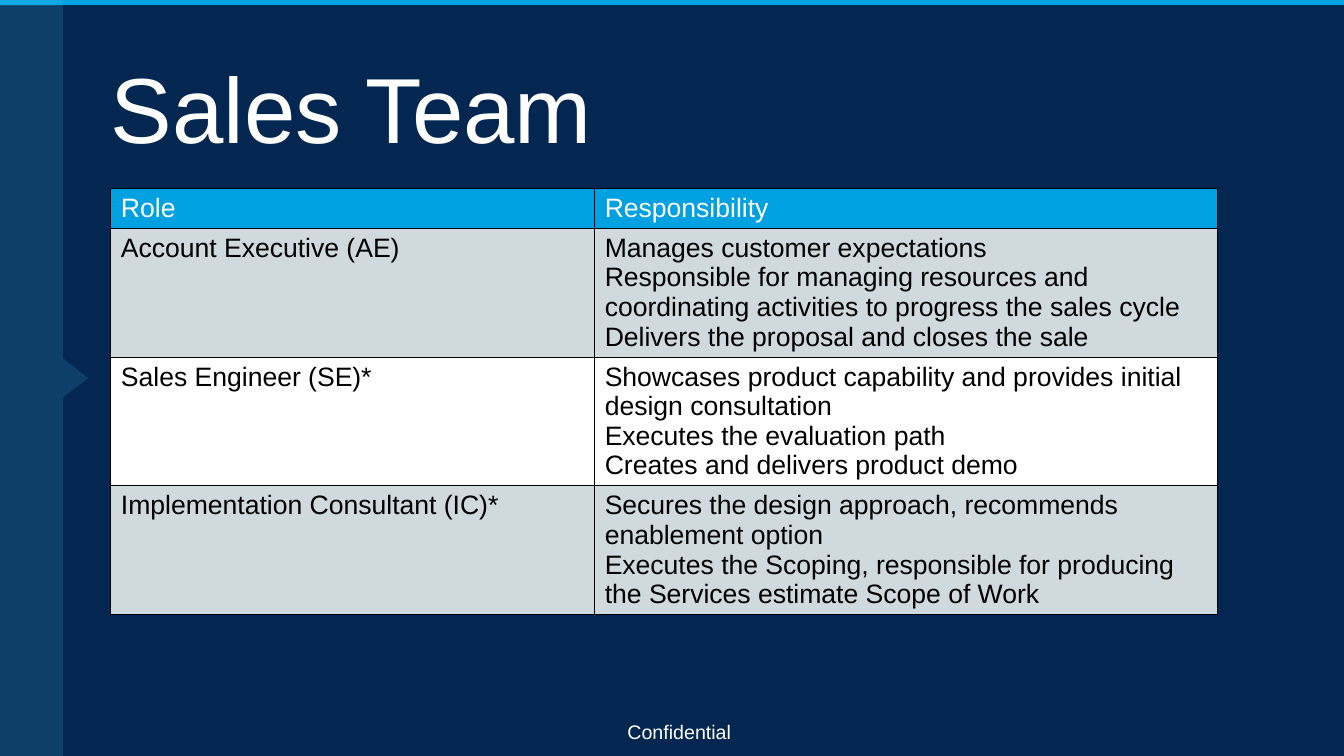
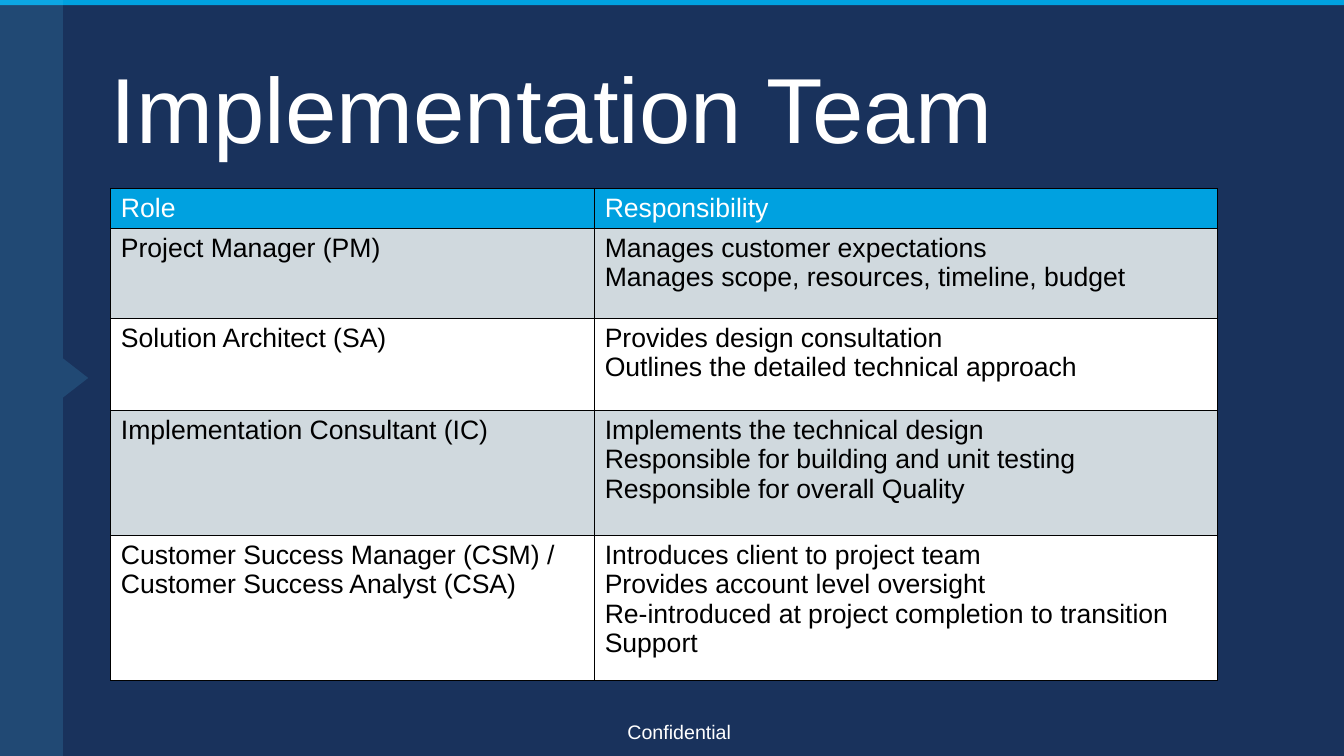
import pptx
import pptx.dml.color
import pptx.enum.shapes
import pptx.enum.text
import pptx.oxml
import pptx.oxml.ns
import pptx.util
from lxml import etree

Pt = pptx.util.Pt
RGBColor = pptx.dml.color.RGBColor

NAVY = RGBColor(0x03, 0x27, 0x50)
INDIGO = RGBColor(0x19, 0x32, 0x5C)
BLUE = RGBColor(0x00, 0xA1, 0xE0)
SKY = RGBColor(0x53, 0xCE, 0xFF)
GREY = RGBColor(0xD0, 0xD9, 0xDE)
WHITE = RGBColor(0xFF, 0xFF, 0xFF)
BLACK = RGBColor(0x00, 0x00, 0x00)

FONT = "Arial"
SLIDE_WIDTH, SLIDE_HEIGHT = 960, 540
LEFT = 79.2
TABLE_TOP = 134.6
COLUMN_WIDTHS = (345.6, 445)
HEADER_HEIGHT = 28.5
HEADINGS = ("Role", ["Responsibility"])
BAND_WIDTH, ARROW_TIP, ARROW_HALF = 44.8, 63.3, 13.5

SALES_ROWS = [
    (92, "Account Executive (AE)", [
        "Manages customer expectations",
        "Responsible for managing resources and coordinating activities to progress the sales cycle",
        "Delivers the proposal and closes the sale"]),
    (92, "Sales Engineer (SE)*", [
        "Showcases product capability and provides initial design consultation",
        "Executes the evaluation path",
        "Creates and delivers product demo"]),
    (92, "Implementation Consultant (IC)*", [
        "Secures the design approach, recommends enablement option",
        "Executes the Scoping, responsible for producing the Services estimate Scope of Work"]),
]
IMPLEMENTATION_ROWS = [
    (64.2, "Project Manager (PM)", [
        "Manages customer expectations",
        "Manages scope, resources, timeline, budget"]),
    (65.6, "Solution Architect (SA)", [
        "Provides design consultation",
        "Outlines the detailed technical approach"]),
    (89.4, "Implementation Consultant (IC)", [
        "Implements the technical design",
        "Responsible for building and unit testing",
        "Responsible for overall Quality"]),
    (103.8, "Customer Success Manager (CSM) / Customer Success Analyst (CSA)", [
        "Introduces client to project team",
        "Provides account level oversight",
        "Re-introduced at project completion to transition Support"]),
]


def format_text(text_frame, size, color, alignment=pptx.enum.text.PP_ALIGN.LEFT):
    """Give every run one font, size and colour, and align its paragraph."""
    for paragraph in text_frame.paragraphs:
        paragraph.alignment = alignment
        for run in paragraph.runs:
            run.font.name = FONT
            run.font.size = Pt(size)
            run.font.color.rgb = color


def set_insets(text_frame, inset):
    """Set the same inset on all four sides of a text frame."""
    text_frame.margin_left = text_frame.margin_right = Pt(inset)
    text_frame.margin_top = text_frame.margin_bottom = Pt(inset)


def fill_plain(shape, color):
    """Fill a shape with one colour, without outline or shadow."""
    shape.shadow.inherit = False
    shape.fill.solid()
    shape.fill.fore_color.rgb = color
    shape.line.fill.background()


def set_opacity(shape, percent):
    """Make the solid fill of a shape partly transparent."""
    color = shape.fill._xPr.find(".//" + pptx.oxml.ns.qn("a:srgbClr"))
    etree.SubElement(color, pptx.oxml.ns.qn("a:alpha"), val=str(percent * 1000))


def add_bands(slide):
    """Draw the top stripe and the pointed side band."""
    stripe = slide.shapes.add_shape(
        pptx.enum.shapes.MSO_SHAPE.RECTANGLE, 0, 0, Pt(SLIDE_WIDTH), Pt(3.6))
    fill_plain(stripe, BLUE)
    middle = SLIDE_HEIGHT / 2
    builder = slide.shapes.build_freeform(0, 0, scale=Pt(1))
    builder.add_line_segments([
        (BAND_WIDTH, 0), (BAND_WIDTH, middle - ARROW_HALF), (ARROW_TIP, middle),
        (BAND_WIDTH, middle + ARROW_HALF), (BAND_WIDTH, SLIDE_HEIGHT),
        (0, SLIDE_HEIGHT)], close=True)
    band = builder.convert_to_shape()
    fill_plain(band, SKY)
    set_opacity(band, 15)


def set_title(slide, text):
    """Place and format the title placeholder."""
    title = slide.shapes.title
    title.left, title.top = Pt(LEFT), Pt(8.6)
    title.width, title.height = Pt(746), Pt(107.3)
    frame = title.text_frame
    frame.text = text
    frame.word_wrap = True
    frame.auto_size = pptx.enum.text.MSO_AUTO_SIZE.NONE
    frame.vertical_anchor = pptx.enum.text.MSO_ANCHOR.BOTTOM
    set_insets(frame, 0)
    format_text(frame, 66, WHITE)


def add_footer(slide):
    """Add the centred confidentiality line."""
    footer = slide.shapes.add_textbox(Pt(192.2), Pt(507), Pt(586), Pt(33))
    frame = footer.text_frame
    frame.word_wrap = True
    frame.text = "Confidential"
    set_insets(frame, 7.2)
    format_text(frame, 14, WHITE, pptx.enum.text.PP_ALIGN.CENTER)


def set_borders(cell):
    """Draw a thin black line on each side of a cell."""
    properties = cell._tc.get_or_add_tcPr()
    for side in ("lnL", "lnR", "lnT", "lnB"):
        line = etree.SubElement(
            properties, pptx.oxml.ns.qn("a:" + side), w=str(Pt(0.75)))
        fill = etree.SubElement(line, pptx.oxml.ns.qn("a:solidFill"))
        etree.SubElement(fill, pptx.oxml.ns.qn("a:srgbClr"), val=str(BLACK))


def format_cell(cell, text, fill_color, text_color):
    """Write a table cell with its borders, fill and font."""
    cell.text_frame.text = text
    set_borders(cell)
    cell.fill.solid()
    cell.fill.fore_color.rgb = fill_color
    format_text(cell.text_frame, 19, text_color)


def add_role_table(slide, body_rows):
    """Add the table of roles and responsibilities."""
    rows = [(HEADER_HEIGHT, *HEADINGS)] + body_rows
    height = sum(row[0] for row in rows)
    table = slide.shapes.add_table(
        len(rows), len(COLUMN_WIDTHS), Pt(LEFT), Pt(TABLE_TOP),
        Pt(sum(COLUMN_WIDTHS)), Pt(height)).table
    for column, width in zip(table.columns, COLUMN_WIDTHS):
        column.width = Pt(width)
    for index, (row_height, role, duties) in enumerate(rows):
        table.rows[index].height = Pt(row_height)
        if index == 0:
            fill_color, text_color = BLUE, WHITE
        else:
            fill_color, text_color = (GREY if index % 2 else WHITE), BLACK
        for column_index, text in enumerate((role, "\n".join(duties))):
            format_cell(table.cell(index, column_index), text, fill_color, text_color)


def add_team_slide(presentation, title, background, rows):
    """Add one team slide with its bands, table, title and footer."""
    slide = presentation.slides.add_slide(presentation.slide_layouts[5])
    slide.background.fill.solid()
    slide.background.fill.fore_color.rgb = background
    add_bands(slide)
    add_role_table(slide, rows)
    set_title(slide, title)
    add_footer(slide)


def main():
    """Build and save the presentation."""
    presentation = pptx.Presentation()
    presentation.slide_width = Pt(SLIDE_WIDTH)
    presentation.slide_height = Pt(SLIDE_HEIGHT)
    add_team_slide(presentation, "Sales Team", NAVY, SALES_ROWS)
    add_team_slide(presentation, "Implementation Team", INDIGO, IMPLEMENTATION_ROWS)
    presentation.save("out.pptx")


if __name__ == "__main__":
    main()
